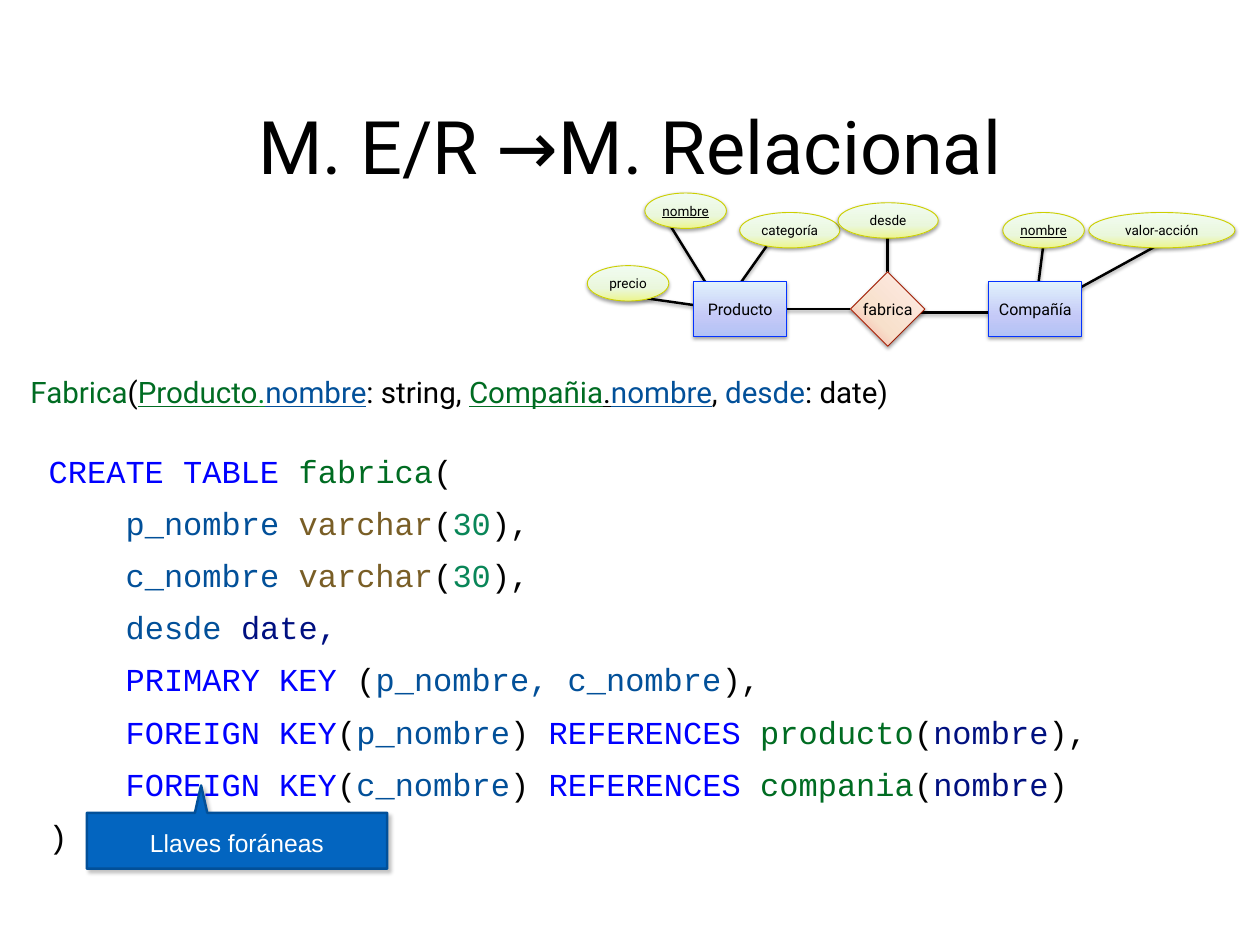
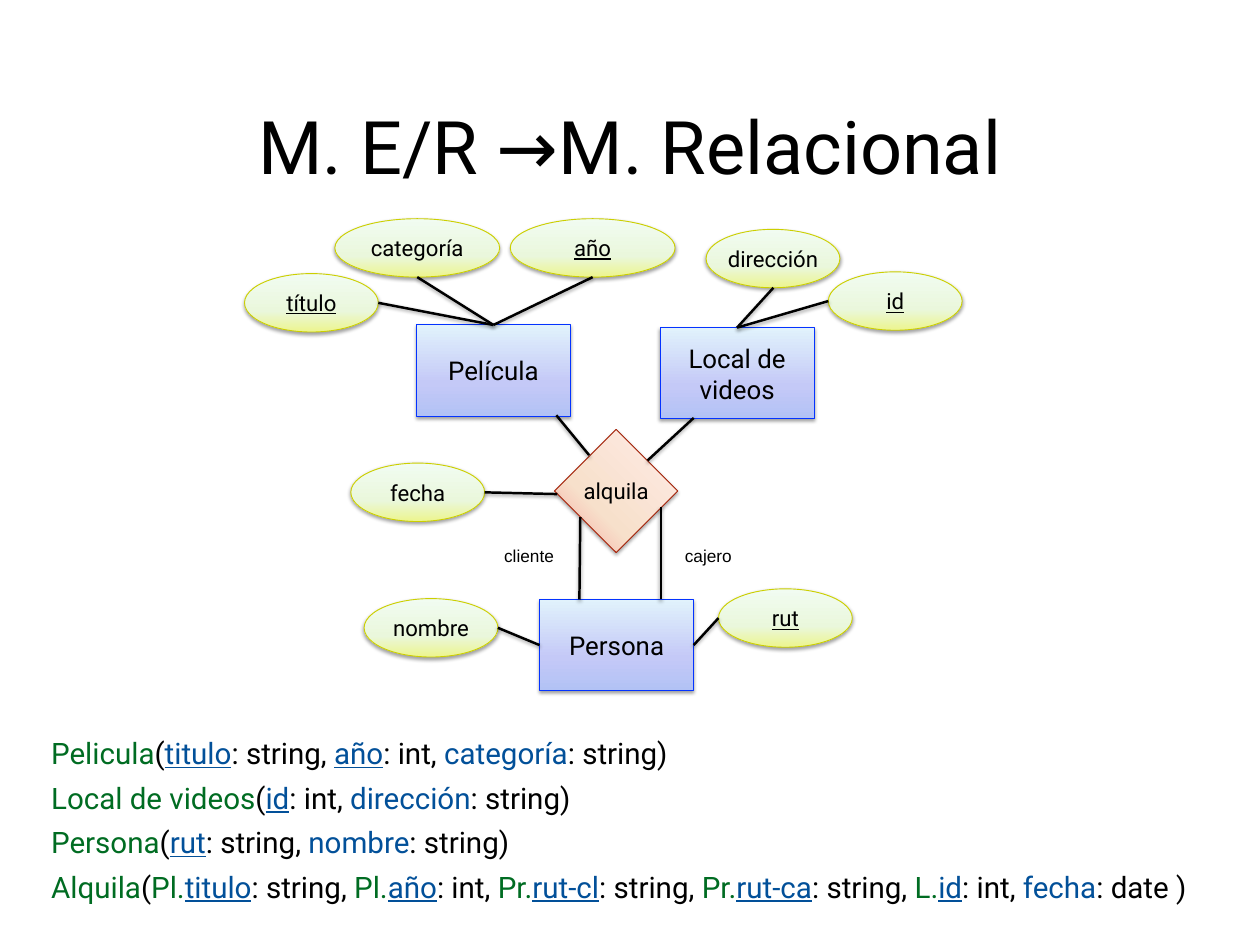
"""Builds two slides that turn entity-relationship diagrams into relational schemas."""
from copy import deepcopy

from lxml import etree
from pptx import Presentation
from pptx.dml.color import RGBColor
from pptx.enum.shapes import MSO_CONNECTOR, MSO_SHAPE
from pptx.enum.text import MSO_ANCHOR, MSO_AUTO_SIZE, PP_ALIGN
from pptx.oxml.ns import qn
from pptx.util import Inches, Pt

TOP, MIDDLE = MSO_ANCHOR.TOP, MSO_ANCHOR.MIDDLE
LEFT, CENTER = PP_ALIGN.LEFT, PP_ALIGN.CENTER
NO_FIT = MSO_AUTO_SIZE.NONE
STRAIGHT = MSO_CONNECTOR.STRAIGHT
OVAL, RECT, DIAMOND = MSO_SHAPE.OVAL, MSO_SHAPE.RECTANGLE, MSO_SHAPE.DIAMOND
SIDE_TOP, SIDE_LEFT, SIDE_RIGHT = 0, 1, 3

BLACK = RGBColor(0x00, 0x00, 0x00)
WHITE = RGBColor(0xFF, 0xFF, 0xFF)
GREEN = RGBColor(0x00, 0x6C, 0x22)
DOT_GREEN = RGBColor(0x00, 0x88, 0x2B)
BLUE = RGBColor(0x02, 0x50, 0x99)
KEYWORD = RGBColor(0x00, 0x00, 0xFF)
TYPE_BROWN = RGBColor(0x79, 0x5E, 0x26)
NUMBER = RGBColor(0x09, 0x86, 0x58)
NAVY = RGBColor(0x00, 0x10, 0x80)
CALLOUT = RGBColor(0x03, 0x65, 0xC0)
OVAL_LINE = RGBColor(0xCC, 0xCF, 0x00)
RECT_LINE = RGBColor(0x04, 0x33, 0xFF)
DIAMOND_LINE = RGBColor(0xA0, 0x1D, 0x04)
OVAL_STOPS = ((0, RGBColor(0xEC, 0xF5, 0x8E)), (0.36, RGBColor(0xEA, 0xF7, 0xDC)),
              (1, RGBColor(0xF1, 0xFC, 0xF1)))
RECT_STOPS = ((0, RGBColor(0xB2, 0xC2, 0xF5)), (0.36, RGBColor(0xC4, 0xC9, 0xF7)),
              (1, RGBColor(0xE1, 0xF2, 0xFC)))
DIAMOND_STOPS = ((0, RGBColor(0xF5, 0xA0, 0x9A)), (0.35, RGBColor(0xF7, 0xE0, 0xCB)),
                 (1, RGBColor(0xFF, 0xEB, 0xE7)))

NODES = {OVAL: (OVAL_STOPS, 90, OVAL_LINE),
         RECT: (RECT_STOPS, 90, RECT_LINE),
         DIAMOND: (DIAMOND_STOPS, 45, DIAMOND_LINE)}
INKS = {"k": BLACK, "w": WHITE, "g": GREEN, "d": DOT_GREEN, "f": BLUE,
        "s": KEYWORD, "t": TYPE_BROWN, "n": NUMBER, "v": NAVY}

WIDTH, HEIGHT, COLUMNS = Inches(14.22), Inches(10.67), 128
TITLE = "k:M. E/R →M. Relacional"


def grid(*cells):
    """Turns grid cells into lengths."""
    return [round(c * WIDTH / COLUMNS) for c in cells]


def write(tf, lines, size, font="Roboto", align=LEFT, anchor=MIDDLE, inset=0,
          spacing=None, wrap=True):
    """Writes lines of 'ink:text' runs split by bars; a capital ink underlines."""
    tf.auto_size, tf.word_wrap, tf.vertical_anchor = NO_FIT, wrap, anchor
    pad, = grid(inset)
    tf.margin_left = tf.margin_right = tf.margin_top = tf.margin_bottom = pad
    for i, line in enumerate(lines):
        p = tf.add_paragraph() if i else tf.paragraphs[0]
        p.alignment = align
        if spacing:
            p.line_spacing = spacing
        for part in line.split("|"):
            ink, text = part.split(":", 1)
            r = p.add_run()
            r.text = text
            r.font.name, r.font.size = font, Pt(size)
            r.font.color.rgb = INKS[ink.lower()]
            if ink.isupper():
                r.font.underline = True


def cast_shadow(sp, alpha=37, distance=1.6, angle=90):
    """Adds a soft black shadow."""
    effects = etree.SubElement(sp._element.spPr, qn("a:effectLst"))
    shadow = etree.SubElement(effects, qn("a:outerShdw"), blurRad=str(Pt(3)),
                              dist=str(Pt(distance)), dir=str(angle * 60000),
                              rotWithShape="0")
    colour = etree.SubElement(shadow, qn("a:srgbClr"), val=str(BLACK))
    etree.SubElement(colour, qn("a:alpha"), val=str(alpha * 1000))


class Deck:
    """Holds the style and the current slide."""

    def __init__(self):
        """Starts an empty deck."""
        self.prs = Presentation()
        self.prs.slide_width, self.prs.slide_height = WIDTH, HEIGHT
        self.shapes = None

    def slide(self, title):
        """Adds a slide with its title."""
        self.shapes = self.prs.slides.add_slide(self.prs.slide_layouts[5]).shapes
        sp = self.shapes.title
        sp.left, sp.top, sp.width, sp.height = grid(19.26, 9.81, 89.46, 9.9)
        write(sp.text_frame, [title], 60, align=CENTER, inset=0.5)

    def text(self, at, lines, size, **style):
        """Adds a text box."""
        write(self.shapes.add_textbox(*grid(*at)).text_frame, lines, size, **style)

    def schema(self, col, row, line):
        """Adds one relation of the schema."""
        self.text((col, row, 123, 4.6), [line], 24, inset=0.5)

    def node(self, kind, at, text, size):
        """Adds an attribute, entity or relationship."""
        stops, angle, edge = NODES[kind]
        sp = self.shapes.add_shape(kind, *grid(*at))
        sp.fill.gradient()
        sp.fill.gradient_angle = angle
        first = sp._element.spPr.find(".//" + qn("a:gs"))
        first.addnext(deepcopy(first))
        for stop, (position, colour) in zip(sp.fill.gradient_stops, stops):
            stop.position, stop.color.rgb = position, colour
        sp.line.color.rgb, sp.line.width = edge, Pt(0.75)
        cast_shadow(sp)
        write(sp.text_frame, [text], size, align=CENTER, wrap=kind == RECT)
        return sp

    def line(self, start, end):
        """Adds a straight line between two points."""
        cxn = self.shapes.add_connector(STRAIGHT, *grid(*start, *end))
        cxn.line.color.rgb, cxn.line.width = BLACK, Pt(2)
        cast_shadow(cxn)
        return cxn

    def link(self, sp, side, *ends):
        """Joins the middle of a side to each end point."""
        for end in ends:
            self.line(end, end).begin_connect(sp, side)

    def callout(self, tip, at, text):
        """Adds a box with a narrow pointer up to the tip."""
        left, top, width, height = at
        right, bottom = left + width, top + height
        points = [(tip[0] - 0.63, top), (left, top), (left, bottom), (right, bottom),
                  (right, top), (tip[0] + 0.63, top)]
        builder = self.shapes.build_freeform(*grid(*tip))
        builder.add_line_segments([grid(*point) for point in points], close=True)
        sp = builder.convert_to_shape()
        sp.fill.solid()
        sp.fill.fore_color.rgb = CALLOUT
        sp.line.color.rgb, sp.line.width = BLUE, Pt(2)
        cast_shadow(sp, alpha=24, distance=3.3, angle=44)
        write(sp.text_frame, [text], 20, font="Arial", align=CENTER)
        sp.text_frame.margin_top, = grid(top - tip[1] + 0.4)


def foreign_keys(deck):
    """Builds the slide on foreign keys."""
    deck.slide(TITLE)
    deck.text((4.95, 44.46, 116.8, 40.7), [
        "s:CREATE TABLE |g:fabrica|k:(",
        "k:    |f:p_nombre |t:varchar|k:(|n:30|k:),",
        "k:    |f:c_nombre |t:varchar|k:(|n:30|k:),",
        "k:    |f:desde |v:date,",
        "k:    |s:PRIMARY KEY|k: (|f:p_nombre, c_nombre|k:),",
        "k:    |s:FOREIGN KEY|k:(|f:p_nombre|k:) |s:REFERENCES |g:producto|k:(|v:nombre|k:),",
        "k:    |s:FOREIGN KEY|k:(|f:c_nombre|k:) |s:REFERENCES |g:compania|k:(|v:nombre|k:)",
        "k:)",
    ], 26, font="Courier New", anchor=TOP, spacing=1.36)
    deck.schema(2.6, 37.5, "g:Fabrica|k:(|G:Producto|D:.|F:nombre|k:: string, "
                "|G:Compañia|K:.|F:nombre|k:, |f:desde|k:: date)")
    deck.callout((20.43, 79.83), (8.82, 82.62, 30.51, 5.67), "w:Llaves foráneas")

    product, company = (73.35, 31.41), (105.12, 31.77)
    for end in ((88.29, 31.41), (61.92, 29.79), (67.77, 22.41), (78.39, 24.3)):
        deck.line(product, end)
    for end in ((90.18, 31.77), (106.02, 24.66), (118.08, 24.66)):
        deck.line(company, end)
    deck.line((90.18, 23.76), (90.18, 32.76))

    for col, row, width, text in (
            (65.52, 19.62, 8.28, "K:nombre"), (59.67, 27, 8.28, "k:precio"),
            (75.15, 21.6, 10.17, "k:categoría"), (101.88, 21.6, 8.28, "K:nombre"),
            (110.61, 21.6, 14.85, "k:valor-acción"), (85.14, 20.61, 10.17, "k:desde")):
        deck.node(OVAL, (col, row, width, 3.6), text, 11)
    for col, text in ((70.47, "k:Producto"), (100.44, "k:Compañía")):
        deck.node(RECT, (col, 28.62, 9.45, 5.58), text, 13)
    deck.node(DIAMOND, (86.4, 27.63, 7.56, 7.56), "k:fabrica", 13)


def video_rental(deck):
    """Builds the slide on the video rental schema."""
    deck.slide(TITLE)
    for col, row, width, text in (
            (24.84, 27.81, 13.59, "K:título"), (71.73, 23.31, 13.59, "k:dirección"),
            (34.02, 22.23, 16.74, "k:categoría"), (84.15, 27.63, 13.59, "K:id"),
            (51.84, 22.23, 16.74, "K:año"), (35.64, 47.07, 13.59, "k:fecha"),
            (36.99, 60.84, 13.59, "k:nombre"), (72.99, 59.85, 13.59, "K:rut")):
        deck.node(OVAL, (col, row, width, 5.94), text, 18)
    film, shop, person = [
        deck.node(RECT, (col, row, 15.66, 9.27), text, 21)
        for col, row, text in ((42.3, 33.03, "k:Película"),
                               (67.05, 33.3, "k:Local de videos"),
                               (54.81, 60.93, "k:Persona"))]
    deck.node(DIAMOND, (56.34, 43.65, 12.51, 12.51), "k:alquila", 18)

    deck.link(film, SIDE_TOP, (38.43, 30.78), (42.39, 28.17), (60.21, 28.17))
    deck.link(shop, SIDE_TOP, (78.57, 29.25), (84.15, 30.6))
    deck.link(person, SIDE_LEFT, (50.58, 63.81))
    deck.link(person, SIDE_RIGHT, (72.99, 62.82))
    for start, end in (((56.52, 42.21), (59.85, 46.26)), ((65.79, 46.8), (70.47, 42.48)),
                       ((58.95, 52.56), (58.86, 60.93)), ((67.14, 51.57), (67.14, 60.93)),
                       ((49.23, 50.04), (56.61, 50.22))):
        deck.line(start, end)
    for col, text in ((51.21, "k:cliente"), (69.57, "k:cajero")):
        deck.text((col, 55.44, 5.2, 2), [text], 14, font="Arial", anchor=TOP, wrap=False)

    relations = (
        "g:Pelicula|k:(|F:titulo|k:: string, |F:año|k:: int, |f:categoría|k:: string)",
        "g:Local de videos|k:(|F:id|k:: int, |f:dirección|k:: string)",
        "g:Persona|k:(|F:rut|k:: string, |f:nombre|k:: string)",
        "g:Alquila|k:(|g:Pl.|F:titulo|k:: string, |g:Pl.|F:año|k:: int, "
        "|g:Pr.|F:rut-cl|k:: string, |g:Pr.|F:rut-ca|k:: string, "
        "|g:L.|F:id|k:: int, |f:fecha|k:: date )")
    for i, relation in enumerate(relations):
        deck.schema(4.7, 74.2 + 4.53 * i, relation)


def main():
    """Builds and saves the deck."""
    deck = Deck()
    foreign_keys(deck)
    video_rental(deck)
    deck.prs.save("out.pptx")


if __name__ == "__main__":
    main()
